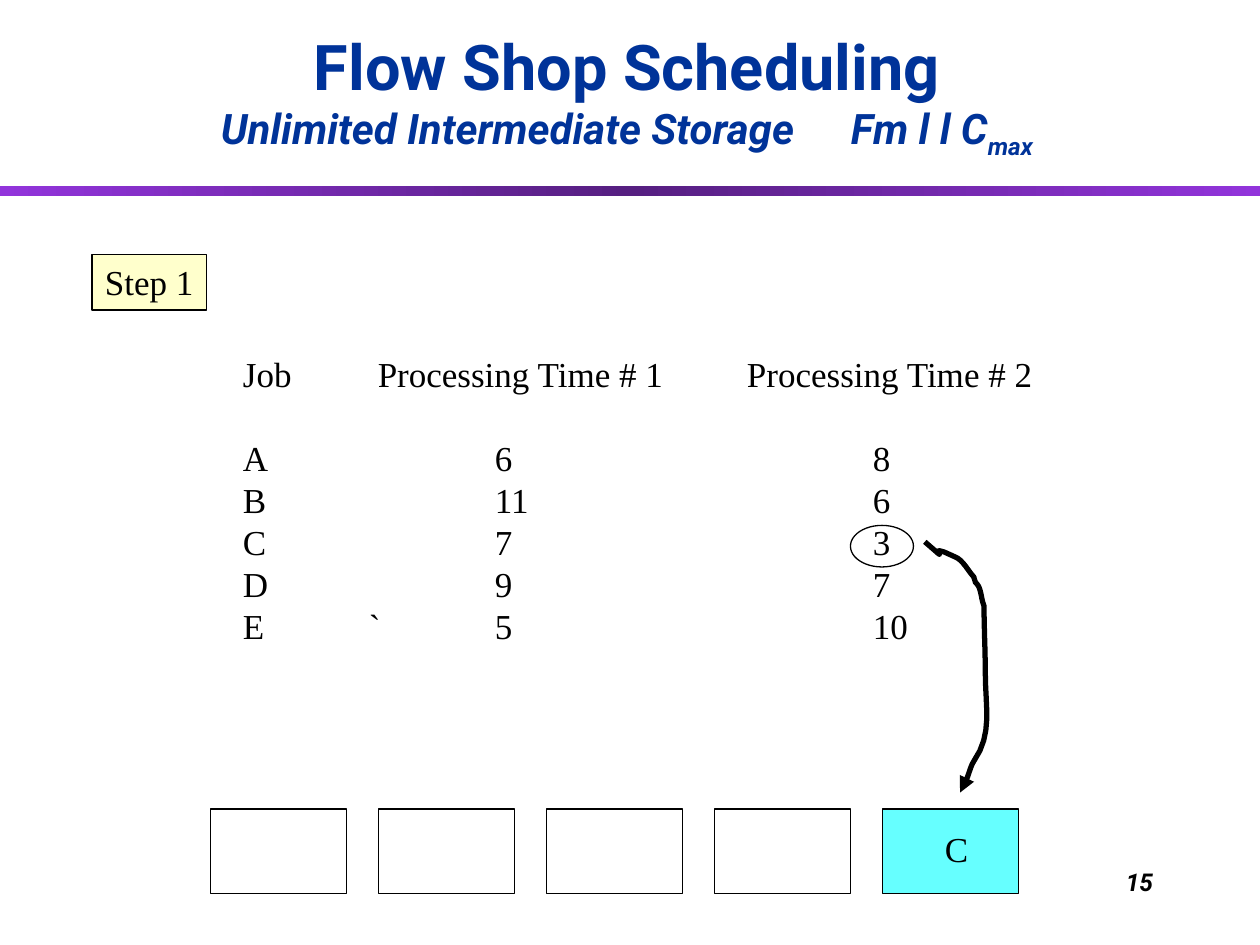
from copy import deepcopy

from pptx import Presentation
from pptx.dml.color import RGBColor
from pptx.enum.shapes import MSO_SHAPE
from pptx.enum.text import MSO_ANCHOR, MSO_AUTO_SIZE, PP_ALIGN
from pptx.oxml.ns import qn
from pptx.util import Inches, Pt
from lxml import etree

RECT, OVAL = MSO_SHAPE.RECTANGLE, MSO_SHAPE.OVAL
LEFT, CENTER, RIGHT = PP_ALIGN.LEFT, PP_ALIGN.CENTER, PP_ALIGN.RIGHT
TOP, BOTTOM = MSO_ANCHOR.TOP, MSO_ANCHOR.BOTTOM
NO_AUTOFIT = MSO_AUTO_SIZE.NONE

SERIF, SANS = "Times New Roman", "Roboto"
BLACK, NAVY, CREAM, CYAN = "000000", "003399", "FFFFCC", "66FFFF"
PURPLE, DARK_PURPLE = "9234DB", "561F81"

HEADER = "Job\tProcessing Time # 1\tProcessing Time # 2"
JOBS = ["A\t\t6\t8", "B\t\t11\t6", "C\t\t7\t3", "D\t\t9\t7", "E\t`\t5\t10"]

ARROW_START = (7.34, 4.3)
ARROW_CURVES = [
    ((7.61, 4.53), (7.28, 4.27), (7.58, 4.42)),
    ((7.64, 4.44), (7.69, 4.54), (7.73, 4.58)),
    ((7.73, 4.59), (7.74, 4.61), (7.74, 4.62)),
    ((7.75, 4.63), (7.76, 4.64), (7.77, 4.66)),
    ((7.79, 4.71), (7.79, 4.76), (7.81, 4.81)),
    ((7.81, 4.98), (7.82, 5.16), (7.82, 5.33)),
    ((7.82, 5.62), (7.88, 5.82), (7.73, 6.04)),
    ((7.69, 6.1), (7.69, 6.18), (7.64, 6.23)),
    ((7.62, 6.28), (7.62, 6.26), (7.62, 6.29)),
]


def rgb(color):
    return RGBColor.from_string(color)


def add_text(p, text, size=20, font=SERIF, color=BLACK, bold=False,
             italic=False, align=LEFT, baseline=None):
    p.alignment = align
    r = p.add_run()
    r.text = text
    r.font.size = Pt(size)
    r.font.name = font
    r.font.bold = bold
    r.font.italic = italic
    r.font.color.rgb = rgb(color)
    if baseline:
        r.font._element.set("baseline", str(baseline))


def add_box(slide, x, y, w, h):
    box = slide.shapes.add_textbox(Inches(x), Inches(y), Inches(w), Inches(h))
    tf = box.text_frame
    tf.word_wrap = True
    return tf


def add_shape(slide, kind, x, y, w, h, fill=None):
    sp = slide.shapes.add_shape(kind, Inches(x), Inches(y), Inches(w), Inches(h))
    sp.shadow.inherit = False
    sp.line.color.rgb = rgb(BLACK)
    sp.line.width = Pt(0.75)
    if fill:
        sp.fill.solid()
        sp.fill.fore_color.rgb = rgb(fill)
    else:
        sp.fill.background()
    return sp


def add_title(slide):
    title = slide.shapes.title
    title.left, title.top = Inches(0.17), Inches(0.25)
    title.width, title.height = Inches(9.61), Inches(1.07)
    tf = title.text_frame
    tf.auto_size = NO_AUTOFIT
    tf.vertical_anchor = BOTTOM
    heading = dict(font=SANS, color=NAVY, bold=True, align=CENTER)
    add_text(tf.paragraphs[0], "Flow Shop Scheduling", size=36, **heading)
    p = tf.add_paragraph()
    subtitle = dict(heading, size=24, italic=True)
    add_text(p, "Unlimited Intermediate Storage\tFm l l C", **subtitle)
    add_text(p, "max", baseline=-25000, **subtitle)


def add_gradient_bar(slide):
    bar = add_shape(slide, RECT, 0, 1.48, 10, 0.08)
    bar.line.fill.background()
    bar.fill.gradient()
    bar.fill.gradient_angle = 0
    for stop in bar.fill.gradient_stops:
        stop.color.rgb = rgb(PURPLE)
    stops = bar._element.spPr.find(".//" + qn("a:gsLst"))
    stops.insert(1, deepcopy(stops[0]))
    middle = bar.fill.gradient_stops[1]
    middle.position = 0.5
    middle.color.rgb = rgb(DARK_PURPLE)


def set_tabs(p, stops):
    tabs = etree.SubElement(p._p.get_or_add_pPr(), qn("a:tabLst"))
    for stop in stops:
        etree.SubElement(tabs, qn("a:tab"), pos=str(Inches(stop)), algn="l")


def add_job_list(slide):
    tf = add_box(slide, 1.83, 2.75, 6.6, 2.43)
    p = tf.paragraphs[0]
    p.line_spacing = Pt(24)
    p.space_after = Pt(24)
    set_tabs(p, [1.07, 4])
    add_text(p, HEADER)
    for job in JOBS:
        p = tf.add_paragraph()
        p.line_spacing = Pt(24)
        set_tabs(p, [1, 2, 5])
        add_text(p, job)


def bezier_points(start, curves, steps=8):
    for c1, c2, end in curves:
        for i in range(1, steps + 1):
            t = i / steps
            u = 1 - t
            yield tuple(
                Inches(u**3 * a + 3 * u * u * t * b + 3 * u * t * t * c + t**3 * d)
                for a, b, c, d in zip(start, c1, c2, end))
        start = end


def add_curved_arrow(slide):
    x, y = ARROW_START
    builder = slide.shapes.build_freeform(Inches(x), Inches(y))
    builder.add_line_segments(bezier_points(ARROW_START, ARROW_CURVES), close=False)
    arrow = builder.convert_to_shape()
    arrow.shadow.inherit = False
    arrow.fill.background()
    arrow.line.color.rgb = rgb(BLACK)
    arrow.line.width = Pt(3)
    etree.SubElement(arrow.line._get_or_add_ln(), qn("a:tailEnd"), type="triangle")


def add_sequence(slide):
    for i in range(5):
        add_shape(slide, RECT, 1.67 + i * 4 / 3, 6.42, 1.08, 0.67,
                  CYAN if i == 4 else None)
    add_text(add_box(slide, 7.4, 6.52, 0.39, 0.43).paragraphs[0], "C")


def main():
    prs = Presentation()
    prs.slide_width, prs.slide_height = Inches(10), Inches(7.5)
    slide = prs.slides.add_slide(prs.slide_layouts[5])
    add_gradient_bar(slide)
    add_title(slide)
    add_job_list(slide)
    step = add_shape(slide, RECT, 0.73, 2.02, 0.91, 0.44, CREAM)
    step.text_frame.word_wrap = False
    step.text_frame.vertical_anchor = TOP
    add_text(step.text_frame.paragraphs[0], "Step 1", align=CENTER)
    add_shape(slide, OVAL, 6.75, 4.17, 0.5, 0.33)
    add_sequence(slide)
    add_curved_arrow(slide)
    number = add_box(slide, 7.17, 6.83, 2.08, 0.5)
    add_text(number.paragraphs[0], "15", size=14, font=SANS, bold=True,
             italic=True, align=RIGHT)
    prs.save("out.pptx")


if __name__ == "__main__":
    main()
